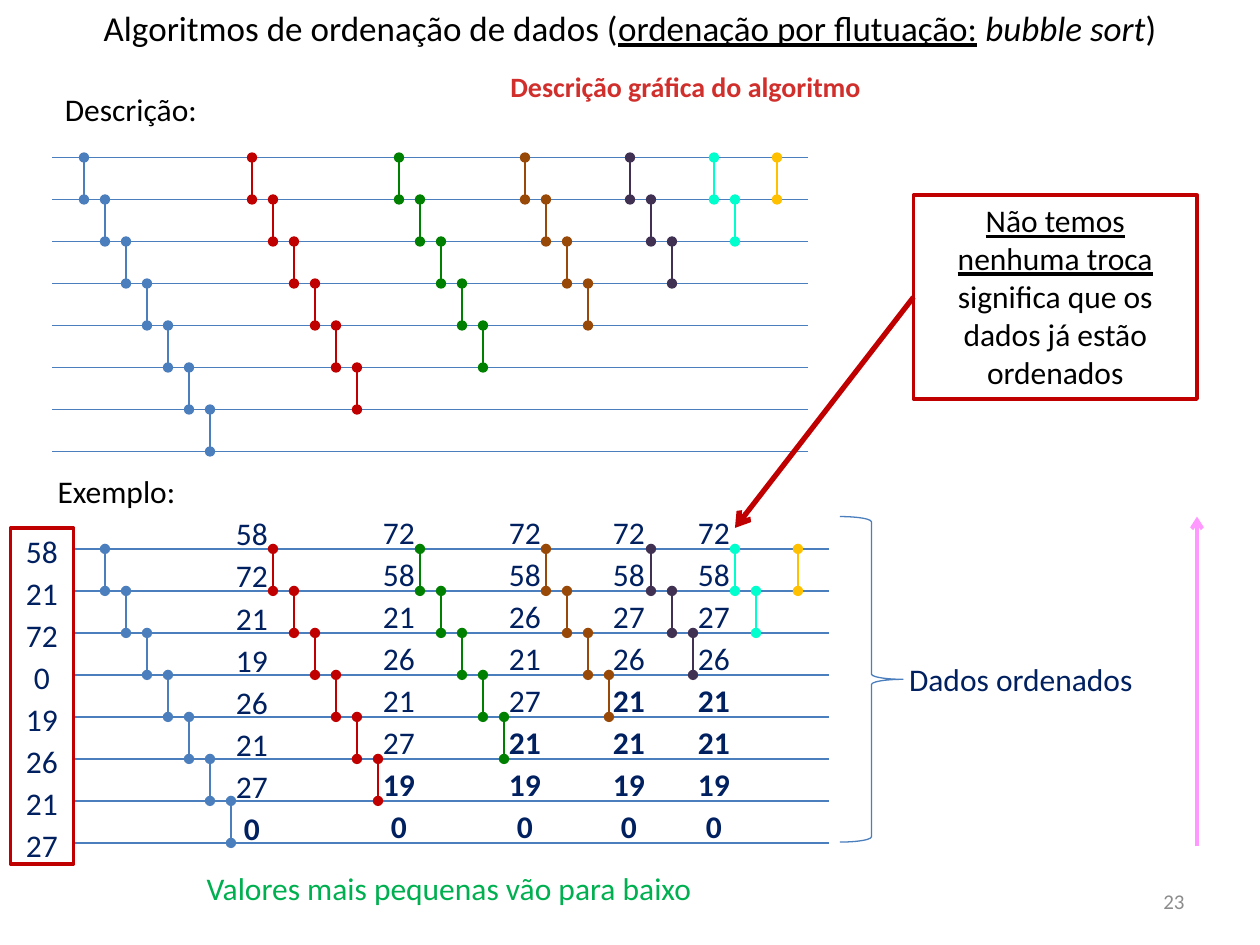
import lxml.etree
import pptx
import pptx.dml.color
import pptx.enum.shapes
import pptx.enum.text
import pptx.oxml.ns
import pptx.util

RGBColor = pptx.dml.color.RGBColor
ALIGN = pptx.enum.text.PP_ALIGN
ANCHOR = pptx.enum.text.MSO_ANCHOR
SHAPE = pptx.enum.shapes.MSO_SHAPE

BLACK = RGBColor(0x00, 0x00, 0x00)
WHITE = RGBColor(0xFF, 0xFF, 0xFF)
GRAY = RGBColor(0x8C, 0x8C, 0x8C)
NAVY = RGBColor(0x00, 0x20, 0x60)
BLUE = RGBColor(0x4B, 0x7E, 0xBC)
RED = RGBColor(0xC0, 0x00, 0x00)
BRIGHT_RED = RGBColor(0xD0, 0x2F, 0x2C)
GREEN = RGBColor(0x00, 0x80, 0x00)
LIGHT_GREEN = RGBColor(0x00, 0xB0, 0x50)
BROWN = RGBColor(0x98, 0x48, 0x07)
PURPLE = RGBColor(0x40, 0x31, 0x52)
CYAN = RGBColor(0x00, 0xFF, 0xCC)
GOLD = RGBColor(0xFF, 0xC0, 0x00)
PINK = RGBColor(0xFF, 0x99, 0xFF)

# Content; positions and sizes are in grid columns and rows
TITLE = [("Algoritmos de ordenação de dados (", ""), ("ordenação por flutuação:", "u"),
         (" ", ""), ("bubble sort", "i"), (")", "")]
CALLOUT = [("Não temos nenhuma troca", "u"),
           (" significa que os dados já estão ordenados", "")]
LABELS = [  # text, style, place, size, colour, alignment
    ("Descrição gráfica do algoritmo", "b", (23.6, 1.5, 18.1, 1.1), 16, BRIGHT_RED, ALIGN.CENTER),
    ("Descrição:", "", (2.5, 2, 7.55, 1.2), 18, BLACK, ALIGN.LEFT),
    ("Exemplo:", "", (2.15, 11.1, 6.9, 1.2), 18, BLACK, ALIGN.LEFT),
    ("Dados ordenados", "", (42.7, 15.57, 12, 1.2), 18, NAVY, ALIGN.LEFT),
    ("Valores mais pequenas vão para baixo", "", (9.25, 20.55, 24.5, 1.2), 18, LIGHT_GREEN,
     ALIGN.LEFT),
]
PASS_COLORS = [BLUE, RED, GREEN, BROWN, PURPLE, CYAN, GOLD]
NETWORKS = [(2.5, 3.75), (3.5, 13.07)]
VALUE_LISTS = [  # left, top, values, how many at the end are already in place
    (0.5, 12.57, [58, 21, 72, 0, 19, 26, 21, 27], 0),
    (10.5, 12.15, [58, 72, 21, 19, 26, 21, 27, 0], 1),
    (17.5, 12.12, [72, 58, 21, 26, 21, 27, 19, 0], 2),
    (23.5, 12.12, [72, 58, 26, 21, 27, 21, 19, 0], 3),
    (28.45, 12.12, [72, 58, 27, 26, 21, 21, 19, 0], 4),
    (32.5, 12.12, [72, 58, 27, 26, 21, 21, 19, 0], 4),
]

deck = pptx.Presentation()
deck.slide_width = pptx.util.Inches(10)
deck.slide_height = pptx.util.Inches(7.5)
COLUMN = deck.slide_width / 60
ROW = deck.slide_height / 22.5
page = deck.slides.add_slide(deck.slide_layouts[5])


def on_grid(*lengths):
    """Turn alternating columns and rows into slide units."""
    return [round(n * (ROW if i % 2 else COLUMN)) for i, n in enumerate(lengths)]


def write(para, spans, size, color, align):
    para.alignment = align
    for text, style in spans:
        span = para.add_run()
        span.text = text
        font = span.font
        font.name, font.size = "Calibri", pptx.util.Pt(size)
        font.color.rgb = color
        font.bold, font.italic, font.underline = (key in style for key in "biu")


def add_label(spans, place, size, color, align, wrap=False):
    box = page.shapes.add_textbox(*on_grid(*place))
    box.text_frame.word_wrap = wrap
    write(box.text_frame.paragraphs[0], spans, size, color, align)
    return box


def add_line(start, end, color, width, head=None, tail=None):
    line = page.shapes.add_connector(pptx.enum.shapes.MSO_CONNECTOR.STRAIGHT,
                                     *on_grid(*start, *end))
    line.line.color.rgb = color
    line.line.width = pptx.util.Pt(width)
    outline = line.line._get_or_add_ln()
    for tag, kind in (("a:headEnd", head), ("a:tailEnd", tail)):
        if kind:
            lxml.etree.SubElement(outline, pptx.oxml.ns.qn(tag), type=kind)
    lxml.etree.SubElement(line._element.spPr, pptx.oxml.ns.qn("a:effectLst"))
    return line


def add_outline(kind, place, color, width, fill=None):
    shape = page.shapes.add_shape(kind, *on_grid(*place))
    shape.shadow.inherit = False
    if fill is None:
        shape.fill.background()
    else:
        shape.fill.solid()
        shape.fill.fore_color.rgb = fill
    shape.line.color.rgb = color
    shape.line.width = pptx.util.Pt(width)
    return shape


def add_network(left, top):
    """Eight wires, and one staircase of comparisons for each pass."""
    wires = len(PASS_COLORS) + 1
    for wire in range(wires):
        add_line((left, top + wire), (left + 36, top + wire), BLUE, 0.75)
    start = left + 1.5
    for number, color in enumerate(PASS_COLORS):
        steps = wires - 1 - number
        for step in range(steps):
            x, y = start + step, top + step
            add_line((x, y), (x, y + 1), color, 0.75, "oval", "oval")
        start += steps + 1


# Title
title = page.shapes.title
title.left, title.top, title.width, title.height = on_grid(0, 0, 60, 1.32)
title.text_frame.auto_size = pptx.enum.text.MSO_AUTO_SIZE.NONE
title.text_frame.vertical_anchor = ANCHOR.TOP
write(title.text_frame.paragraphs[0], TITLE, 20, BLACK, ALIGN.CENTER)

# Labels and page number
for text, style, place, size, color, align in LABELS:
    add_label([(text, style)], place, size, color, align)
number_box = add_label([("23", "")], (43, 20.85, 14, 1.2), 12, GRAY, ALIGN.RIGHT, wrap=True)
number_box.text_frame.vertical_anchor = ANCHOR.MIDDLE

# Sorting networks
for left, top in NETWORKS:
    add_network(left, top)

# Values before the first pass (framed) and after each pass
for index, (left, top, values, placed) in enumerate(VALUE_LISTS):
    place = (left, top, 3, 8)
    if index == 0:
        box = add_outline(SHAPE.RECTANGLE, place, RED, 2, WHITE)
    else:
        box = page.shapes.add_textbox(*on_grid(*place))
    frame = box.text_frame
    frame.word_wrap = True
    frame.vertical_anchor = ANCHOR.MIDDLE
    for row, value in enumerate(values):
        para = frame.add_paragraph() if row else frame.paragraphs[0]
        para.line_spacing = pptx.util.Pt(24)
        style = "b" if row >= len(values) - placed else ""
        write(para, [(str(value), style)], 18, NAVY, ALIGN.CENTER)

# Brace around the sorted data
add_outline(SHAPE.RIGHT_BRACE, (40, 12.3, 3, 7.75), BLUE, 0.75)

# Callout and its arrow
pointer = add_line((43.5, 7.08), (35, 12.57), RED, 3, tail="arrow")
callout = add_outline(SHAPE.RECTANGLE, (43.5, 4.65, 13.5, 4.85), RED, 2.25)
callout.text_frame.word_wrap = True
callout.text_frame.vertical_anchor = ANCHOR.TOP
write(callout.text_frame.paragraphs[0], CALLOUT, 18, BLACK, ALIGN.CENTER)
pointer.begin_connect(callout, 1)

# Upward arrow: direction of increasing values
add_line((57, 20.15), (57, 12.3), PINK, 2.25, tail="arrow")

deck.save("out.pptx")
